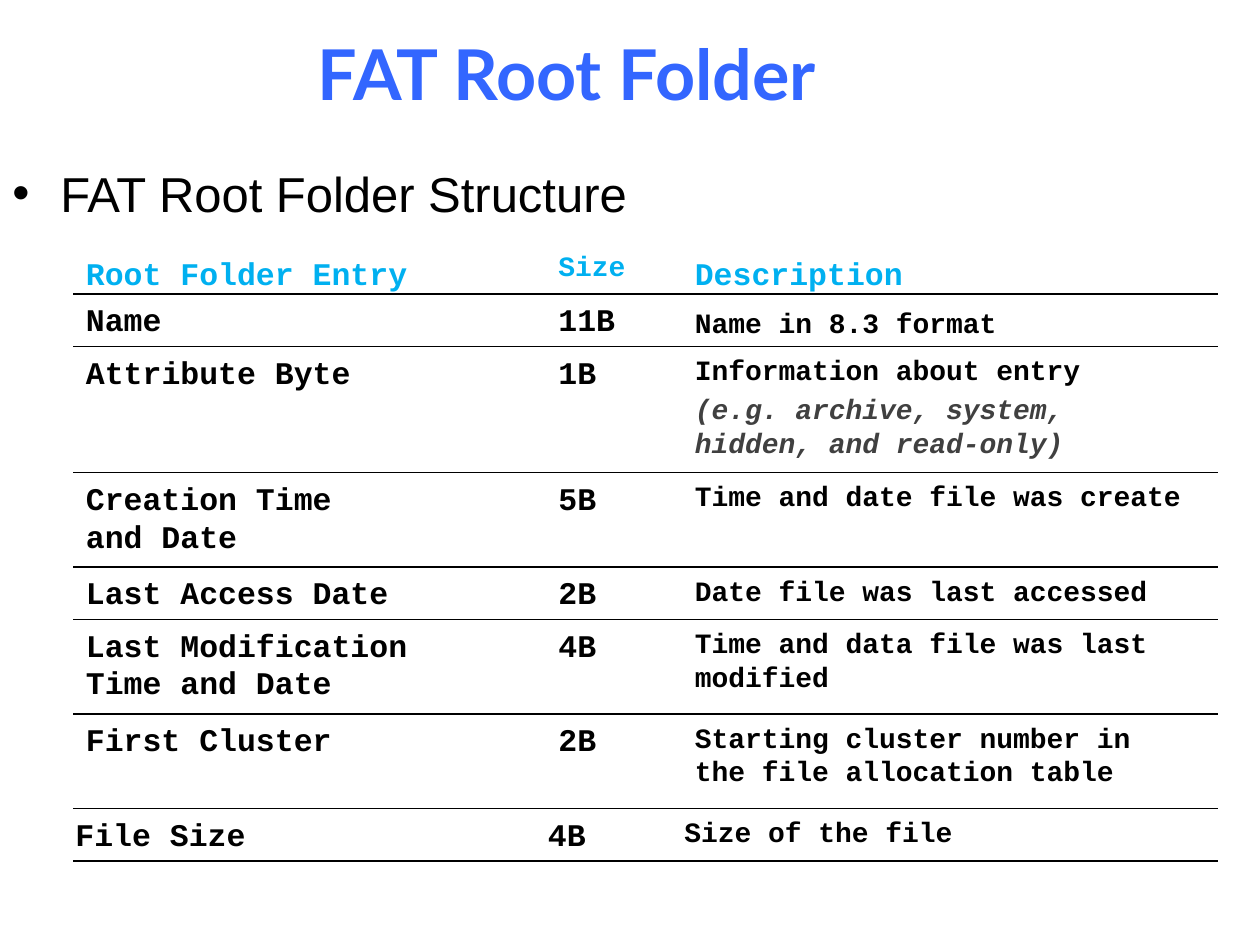
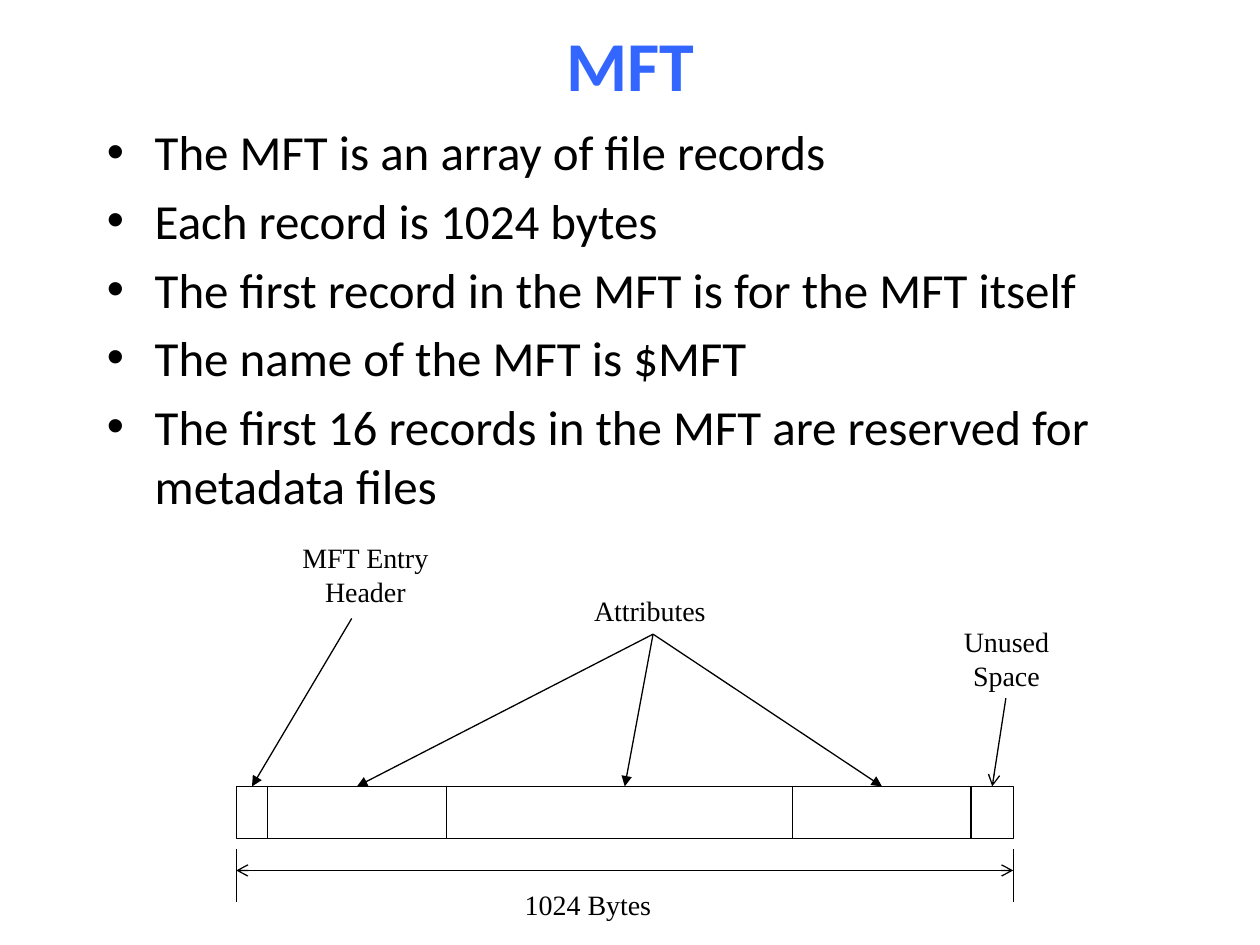
from dataclasses import dataclass
from typing import Optional

from lxml import etree
from pptx import Presentation
from pptx.dml.color import RGBColor
from pptx.enum.shapes import MSO_CONNECTOR, MSO_SHAPE
from pptx.enum.text import MSO_ANCHOR, MSO_AUTO_SIZE, PP_ALIGN
from pptx.oxml.ns import qn
from pptx.util import Inches, Pt

# Shared look
BLUE = RGBColor(0x33, 0x66, 0xFF)
SKY = RGBColor(0x00, 0xB0, 0xF0)
BLACK = RGBColor(0x00, 0x00, 0x00)
GREY = RGBColor(0x40, 0x40, 0x40)
MONO, SERIF = "Courier New", "Times New Roman"
LEFT, CENTER = PP_ALIGN.LEFT, PP_ALIGN.CENTER
TOP, MIDDLE = MSO_ANCHOR.TOP, MSO_ANCHOR.MIDDLE
STRAIGHT, RECTANGLE = MSO_CONNECTOR.STRAIGHT, MSO_SHAPE.RECTANGLE
FIT_TEXT = MSO_AUTO_SIZE.SHAPE_TO_FIT_TEXT
LINE_WIDTH = Pt(0.75)
GAP = 0.2  # space between paragraphs as a share of the text size

# Grid: 120 columns by 90 rows
WIDTH, HEIGHT = Inches(10), Inches(7.5)
COL, ROW = WIDTH / 120, HEIGHT / 90


@dataclass
class Box:
    left: float
    top: float
    cols: float
    rows: float

    def emu(self) -> tuple:
        return (round(self.left * COL), round(self.top * ROW),
                round(self.cols * COL), round(self.rows * ROW))


@dataclass
class Style:
    font: str
    size: int
    color: RGBColor = BLACK
    bold: bool = False
    align: PP_ALIGN = LEFT
    anchor: MSO_ANCHOR = TOP
    gap: float = 0
    spacing: Optional[float] = None
    bullet: bool = False
    wrap: bool = True


@dataclass
class Entry:
    top: float
    name: str
    size: str
    description: str
    name_cols: float = 41
    description_cols: float = 50
    description_rows: float = 10
    shift: float = 0
    drop: float = 0


@dataclass
class Label:
    text: str
    box: Box
    align: PP_ALIGN = CENTER


@dataclass
class Arrow:
    start: tuple
    target: float
    end: str = "triangle"


def add_bullet(p) -> None:
    pPr = p._p.get_or_add_pPr()
    pPr.set("marL", str(Inches(0.38)))
    pPr.set("indent", str(Inches(-0.38)))
    etree.SubElement(pPr, qn("a:buFont")).set("typeface", "Arial")
    etree.SubElement(pPr, qn("a:buChar")).set("char", "•")


def add_text(s, box: Box, text: str, style: Style):
    """Add a text box with one paragraph for each line of text."""
    tf = s.shapes.add_textbox(*box.emu()).text_frame
    tf.text = text
    tf.word_wrap = style.wrap
    if not style.wrap:
        tf.auto_size = FIT_TEXT
    tf.vertical_anchor = style.anchor
    for i, p in enumerate(tf.paragraphs):
        if style.bullet:
            add_bullet(p)
        p.alignment = style.align
        if style.spacing:
            p.line_spacing = style.spacing
        if i and style.gap:
            p.space_before = Pt(style.gap * style.size)
        for r in p.runs:
            r.font.name = style.font
            r.font.size = Pt(style.size)
            r.font.bold = style.bold
            r.font.color.rgb = style.color
    return tf


def add_title(s, box: Box, text: str, font: str, anchor: MSO_ANCHOR) -> None:
    add_text(s, box, text, Style(font, 40, BLUE, True, CENTER, anchor))


def add_bullets(s, box: Box, text: str, font: str) -> None:
    add_text(s, box, text, Style(font, 28, gap=GAP, bullet=True))


def add_line(s, start: tuple, stop: tuple, head: str = "", tail: str = "") -> None:
    (x1, y1), (x2, y2) = start, stop
    line = s.shapes.add_connector(STRAIGHT, round(x1 * COL), round(y1 * ROW),
                                  round(x2 * COL), round(y2 * ROW))
    line.line.color.rgb = BLACK
    line.line.width = LINE_WIDTH
    ln = line.line._get_or_add_ln()
    for tag, kind in (("a:headEnd", head), ("a:tailEnd", tail)):
        if kind:
            etree.SubElement(ln, qn(tag)).set("type", kind)
    etree.SubElement(line._element.spPr, qn("a:effectLst"))


def add_segment(s, box: Box) -> None:
    sp = s.shapes.add_shape(RECTANGLE, *box.emu())
    sp.shadow.inherit = False
    sp.fill.background()
    sp.line.color.rgb = BLACK
    sp.line.width = LINE_WIDTH


# Slide 1: directory entry fields
NAME_X, SIZE_X, DESCRIPTION_X = 7, 52, 65
RULE_LEFT, RULE_RIGHT, LAST_RULE = 7, 116, 82
HEADINGS = [
    # text, left, columns, text size, line spacing
    ("Root Folder Entry", NAME_X, 37, 18, 0.9),
    ("Size", SIZE_X, 13, 16, 0.7),
    ("Description", DESCRIPTION_X, 41, 18, 0.9),
]
ENTRIES = [
    Entry(28, "Name", "11B", "Name in 8.3 format", name_cols=29, drop=0.5),
    Entry(33, "Attribute Byte", "1B",
          "Information about entry\n(e.g. archive, system, hidden, and read-only)",
          name_cols=38, description_rows=15),
    Entry(45, "Creation Time and Date", "5B", "Time and date file was create",
          name_cols=29, description_cols=55),
    Entry(54, "Last Access Date", "2B", "Date file was last accessed",
          description_cols=52),
    Entry(59, "Last Modification Time and Date", "4B",
          "Time and data file was last modified"),
    Entry(68, "First Cluster", "2B",
          "Starting cluster number in the file allocation table"),
    Entry(77, "File Size", "4B", "Size of the file", shift=-1),
]


def add_entry(s, e: Entry) -> None:
    field = Style(MONO, 18, bold=True)
    note = Style(MONO, 16, bold=True, gap=GAP)
    add_text(s, Box(NAME_X + e.shift, e.top, e.name_cols, 10), e.name, field)
    add_text(s, Box(SIZE_X + e.shift, e.top, 10, 10), e.size, field)
    tf = add_text(s, Box(DESCRIPTION_X + e.shift, e.top + e.drop,
                         e.description_cols, e.description_rows),
                  e.description, note)
    for p in tf.paragraphs[1:]:
        for r in p.runs:
            r.font.italic = True
            r.font.color.rgb = GREY


def root_folder_slide(prs) -> None:
    s = prs.slides.add_slide(prs.slide_layouts[6])
    add_title(s, Box(0, 1.7, 108, 10.4), "FAT Root Folder", "Lato", MIDDLE)
    add_bullets(s, Box(0, 15, 114.4, 72), "FAT Root Folder Structure", "Arial")
    for text, left, cols, size, spacing in HEADINGS:
        add_text(s, Box(left, 24, cols, 5), text,
                 Style(MONO, size, SKY, True, spacing=spacing))
    for entry in ENTRIES:
        add_entry(s, entry)
    for y in [entry.top for entry in ENTRIES] + [LAST_RULE]:
        add_line(s, (RULE_LEFT, y), (RULE_RIGHT, y))


# Slide 2: layout of one record
MFT_POINTS = [
    "The MFT is an array of file records",
    "Each record is 1024 bytes",
    "The first record in the MFT is for the MFT itself",
    "The name of the MFT is $MFT",
    "The first 16 records in the MFT are reserved for metadata files",
]
BAR_TOP, BAR_LEFT, BAR_RIGHT = 74.9, 22.5, 96.5
SEGMENTS = [(BAR_LEFT, 3), (25.5, 17), (42.5, 54), (75.5, 17)]
LABELS = [
    Label("MFT Entry\nHeader", Box(27.5, 50.9, 14.6, 7.7)),
    Label("Attributes", Box(55.4, 55.9, 13.2, 4.4), LEFT),
    Label("Unused\nSpace", Box(90.5, 58.9, 10.7, 7.7)),
    Label("1024 Bytes", Box(48.8, 83.9, 14.6, 4.4), LEFT),
]
ATTRIBUTES = (62.2, 60.4)
ARROWS = [
    Arrow((33.5, 58.9), 24),
    Arrow(ATTRIBUTES, 34),
    Arrow(ATTRIBUTES, 59.5),
    Arrow(ATTRIBUTES, 84),
    Arrow((95.8, 66.5), 94.5, "arrow"),
]


def mft_slide(prs) -> None:
    s = prs.slides.add_slide(prs.slide_layouts[6])
    add_title(s, Box(9, 1.5, 102, 21.5), "MFT", "Calibri", TOP)
    add_bullets(s, Box(9, 11, 102, 69), "\n".join(MFT_POINTS), "Calibri")
    for left, cols in SEGMENTS:
        add_segment(s, Box(left, BAR_TOP, cols, 5))
    for label in LABELS:
        add_text(s, label.box, label.text,
                 Style(SERIF, 16, align=label.align, wrap=False))
    for arrow in ARROWS:
        add_line(s, arrow.start, (arrow.target, BAR_TOP), tail=arrow.end)
    # Dimension line below the bar
    for x in (BAR_LEFT, BAR_RIGHT):
        add_line(s, (x, BAR_TOP + 6), (x, BAR_TOP + 11))
    add_line(s, (BAR_LEFT, BAR_TOP + 8), (BAR_RIGHT, BAR_TOP + 8), "arrow", "arrow")


def main() -> None:
    prs = Presentation()
    prs.slide_width, prs.slide_height = WIDTH, HEIGHT
    root_folder_slide(prs)
    mft_slide(prs)
    prs.save("out.pptx")


if __name__ == "__main__":
    main()
